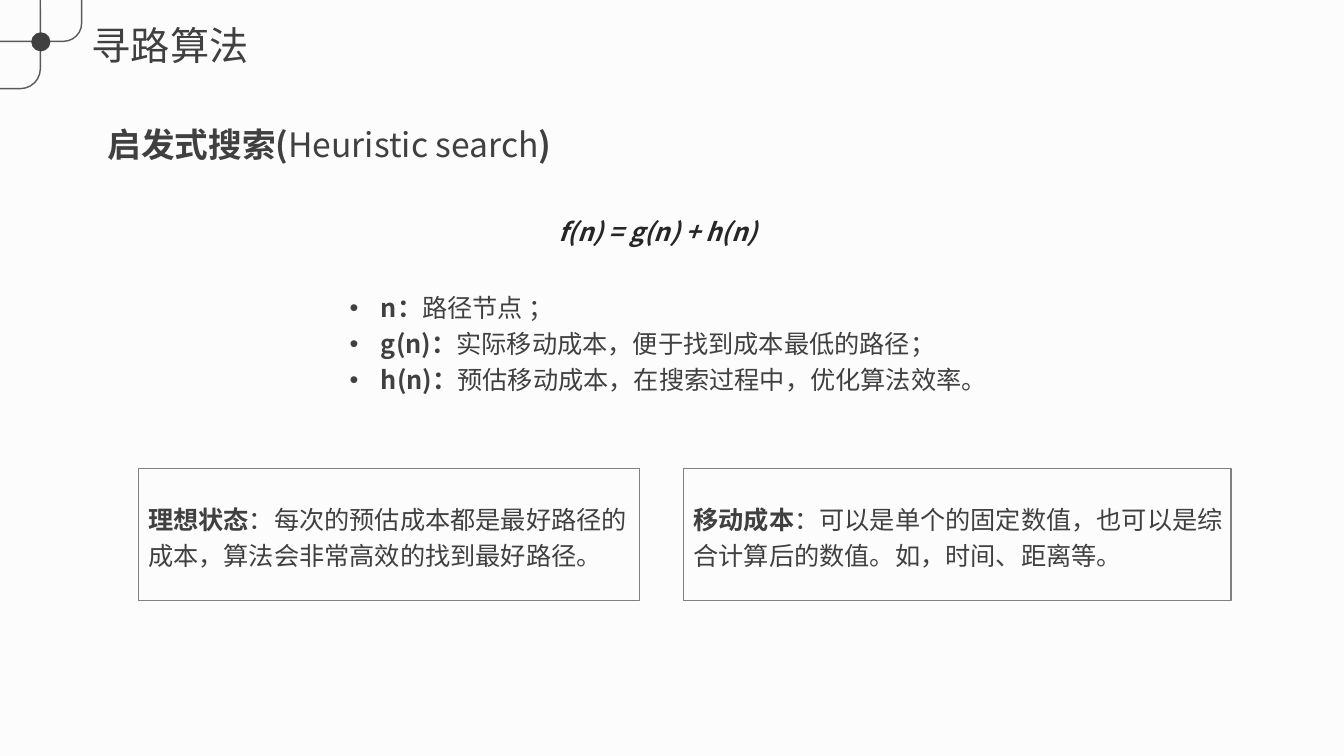
from dataclasses import dataclass

from lxml import etree
from pptx import Presentation
from pptx import util as u
from pptx.dml.color import RGBColor
from pptx.enum import shapes, text
from pptx.oxml.ns import qn

EMU_PER_PX = 9144  # 100 px to the inch


@dataclass(frozen=True)
class Theme:
    font: str = "Noto Sans CJK SC"
    background: str = "FCFCFC"
    ink: str = "404040"
    formula: str = "262626"
    ornament: str = "595959"
    border: str = "808080"
    title_size: int = 28
    heading_size: int = 24
    body_size: int = 18
    line_spacing: float = 1.2


THEME = Theme()


def px(*lengths):
    return [u.Emu(length * EMU_PER_PX) for length in lengths]


def add_runs(paragraph, runs, size, color=THEME.ink, italic=False):
    """Add (wording, bold) pairs to a paragraph."""
    for wording, bold in runs:
        run = paragraph.add_run()
        run.text = wording
        font = run.font
        font.size, font.bold, font.italic = u.Pt(size), bold, italic
        font.color.rgb = RGBColor.from_string(color)
        font.name = THEME.font
        properties = run._r.get_or_add_rPr()
        etree.SubElement(properties, qn("a:ea"), typeface=THEME.font)


def add_bullet(paragraph, indent):
    properties = paragraph._p.get_or_add_pPr()
    properties.set("marL", str(indent * EMU_PER_PX))
    properties.set("indent", str(-indent * EMU_PER_PX))
    etree.SubElement(properties, qn("a:buFont"), typeface="Arial")
    etree.SubElement(properties, qn("a:buChar"), char="•")


def add_text_box(slide, box):
    frame = slide.shapes.add_textbox(*px(*box)).text_frame
    frame.word_wrap = True
    frame.auto_size = text.MSO_AUTO_SIZE.SHAPE_TO_FIT_TEXT
    return frame


def add_outline(slide, kind, box, color, width):
    shape = slide.shapes.add_shape(kind, *px(*box))
    shape.shadow.inherit = False
    shape.fill.background()
    shape.line.color.rgb = RGBColor.from_string(color)
    shape.line.width = u.Pt(width)
    return shape


def add_corner_ornament(slide, box):
    """Two rounded frames running off the corner, with a dot where they cross."""
    left, top, width, height = box
    frames = [
        ((left - 137, top - 45, 177, 133), 0.149),
        ((left - 64, top - 37, 145, 78), 0.231),
    ]
    for frame_box, rounding in frames:
        frame = add_outline(slide, shapes.MSO_SHAPE.ROUNDED_RECTANGLE,
                            frame_box, THEME.ornament, 1)
        frame.adjustments[0] = rounding
    dot_size = 19
    dot = add_outline(slide, shapes.MSO_SHAPE.OVAL,
                      (left + 31, top + 32, dot_size, dot_size), THEME.ink, 1)
    dot.fill.solid()
    dot.fill.fore_color.rgb = RGBColor.from_string(THEME.ink)
    dot.line.fill.background()


def place_title(slide, box, wording):
    title = slide.shapes.title
    title.left, title.top, title.width, title.height = px(*box)
    frame = title.text_frame
    frame.word_wrap = True
    frame.auto_size = text.MSO_AUTO_SIZE.NONE
    frame.vertical_anchor = text.MSO_ANCHOR.TOP
    paragraph = frame.paragraphs[0]
    paragraph.alignment = text.PP_ALIGN.LEFT
    add_runs(paragraph, [(wording, False)], THEME.title_size)


def add_heading(slide, box, runs):
    frame = add_text_box(slide, box)
    add_runs(frame.paragraphs[0], runs, THEME.heading_size)


def add_formula(slide, box, wording):
    paragraph = add_text_box(slide, box).paragraphs[0]
    paragraph.alignment = text.PP_ALIGN.JUSTIFY
    paragraph.line_spacing = THEME.line_spacing
    add_runs(paragraph, [(wording, True)], THEME.body_size, THEME.formula, italic=True)


def add_terms(slide, box, terms):
    """Bulleted list of a bold term and its meaning."""
    frame = add_text_box(slide, box)
    for index, (term, meaning) in enumerate(terms):
        paragraph = frame.add_paragraph() if index else frame.paragraphs[0]
        paragraph.alignment = text.PP_ALIGN.JUSTIFY
        paragraph.line_spacing = THEME.line_spacing
        add_bullet(paragraph, indent=31)
        add_runs(paragraph, [(term, True), (meaning, False)], THEME.body_size)


def add_note(slide, box, label, explanation):
    """Bordered note with a bold label."""
    note = add_outline(slide, shapes.MSO_SHAPE.RECTANGLE, box, THEME.border, 0.75)
    frame = note.text_frame
    frame.word_wrap = True
    frame.margin_right = 0
    frame.vertical_anchor = text.MSO_ANCHOR.MIDDLE
    paragraph = frame.paragraphs[0]
    paragraph.alignment = text.PP_ALIGN.LEFT
    paragraph.line_spacing = THEME.line_spacing
    add_runs(paragraph, [(label, True), (explanation, False)], THEME.body_size)


def build_search_slide(presentation, box):
    left, top, width, height = box
    title_only = presentation.slide_layouts[5]
    slide = presentation.slides.add_slide(title_only)
    background = slide.background.fill
    background.solid()
    background.fore_color.rgb = RGBColor.from_string(THEME.background)

    # Header
    add_corner_ornament(slide, (left, top, 81, 88))
    place_title(slide, (left + 81, top + 16, 310, 57), "寻路算法")

    # Definition
    add_heading(slide, (left + 97, top + 118, 544, 50),
                [("启发式搜索(", True), ("Heuristic search", False), (")", True)])
    add_formula(slide, (left + 544, top + 204, 246, 43), "f(n) = g(n) + h(n)")
    add_terms(slide, (left + 337, top + 279, 659, 116), [
        ("n：", "路径节点 ；"),
        ("g(n)：", "实际移动成本，便于找到成本最低的路径；"),
        ("h(n)：", "预估移动成本，在搜索过程中，优化算法效率。"),
    ])

    # Notes
    note_top, note_height = top + 465, 131
    add_note(slide, (left + 137, note_top, 497, note_height), "理想状态",
             "：每次的预估成本都是最好路径的成本，算法会非常高效的找到最好路径。")
    add_note(slide, (left + 678, note_top, 543, note_height), "移动成本",
             "：可以是单个的固定数值，也可以是综合计算后的数值。如，时间、距离等。")


def main():
    presentation = Presentation()
    width, height = 1333, 750
    presentation.slide_width, presentation.slide_height = px(width, height)
    build_search_slide(presentation, (0, 0, width, height))
    presentation.save("out.pptx")


if __name__ == "__main__":
    main()
